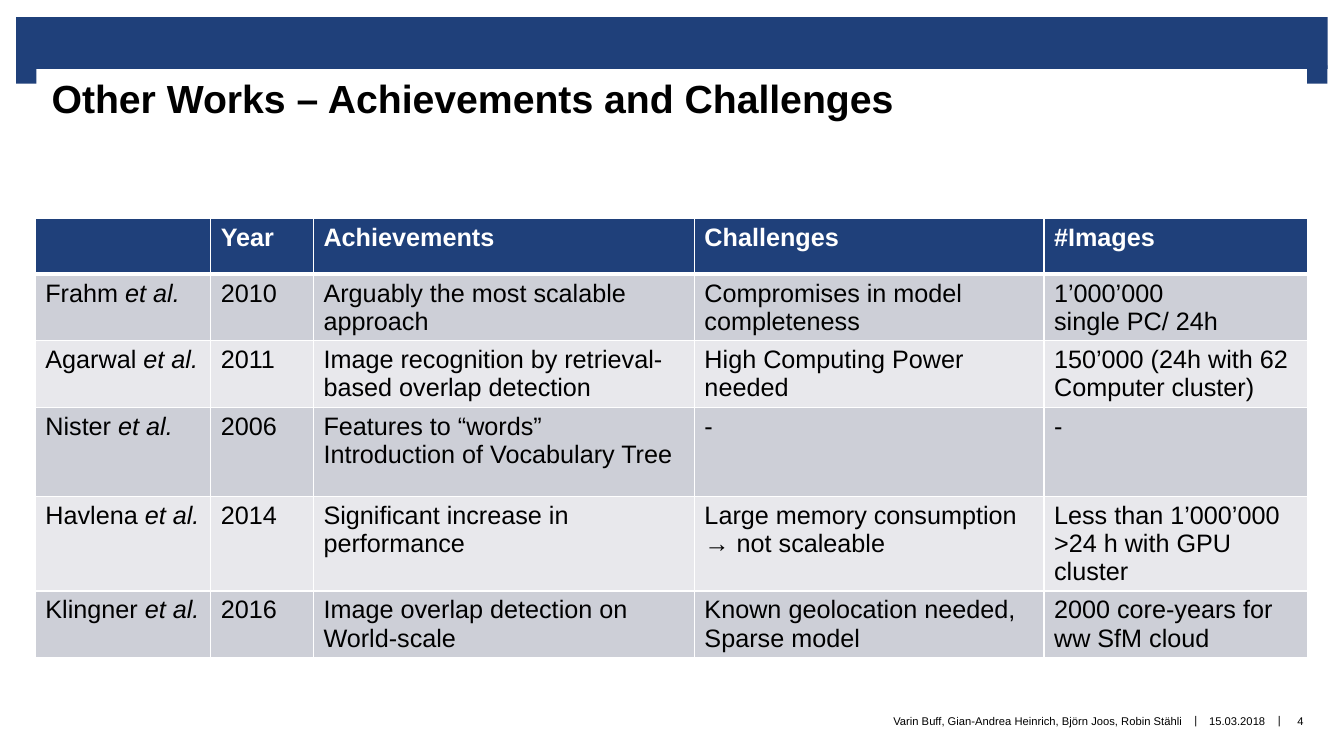
from dataclasses import dataclass

from lxml.etree import SubElement
from pptx import Presentation
from pptx.dml.color import RGBColor
from pptx.enum.shapes import MSO_SHAPE
from pptx.enum.text import MSO_ANCHOR, PP_ALIGN
from pptx.oxml.ns import qn
from pptx.util import Cm, Pt

COLORS = {
    "navy": "1F407A",
    "white": "FFFFFF",
    "black": "000000",
    "band_dark": "CDCFD7",
    "band_light": "E8E8EC",
}
FONT = "Arial"


@dataclass
class Box:
    left: float
    top: float
    width: float
    height: float

    def emu(self) -> tuple:
        return Cm(self.left), Cm(self.top), Cm(self.width), Cm(self.height)


@dataclass
class FooterItem:
    text: str
    box: Box
    align: PP_ALIGN = PP_ALIGN.CENTER


@dataclass
class Work:
    author: str
    year: str
    achievements: str
    challenges: str
    images: str


FRAME_BARS = [
    Box(0.41, 0.43, 33.05, 1.31),
    Box(0.41, 1.65, 0.51, 0.46),
    Box(32.94, 1.65, 0.51, 0.46),
]
FOOTER = [
    FooterItem("Varin Buff, Gian-Andrea Heinrich, Björn Joos, Robin Stähli",
               Box(16.92, 17.53, 12.88, 1.28), PP_ALIGN.RIGHT),
    FooterItem("|", Box(29.95, 17.5, 0.38, 1.3)),
    FooterItem("15.03.2018", Box(30.33, 17.53, 1.7, 1.3)),
    FooterItem("|", Box(32.05, 17.5, 0.38, 1.3)),
    FooterItem("4", Box(32.28, 17.53, 0.99, 1.3)),
]
HEADERS = ["", "Year", "Achievements", "Challenges", "#Images"]
WORKS = [
    Work("Frahm", "2010", "Arguably the most scalable approach",
         "Compromises in model completeness", "1’000’000\nsingle PC/ 24h"),
    Work("Agarwal", "2011", "Image recognition by retrieval-based overlap detection",
         "High Computing Power needed", "150’000 (24h with 62 Computer cluster)"),
    Work("Nister", "2006", "Features to “words”\nIntroduction of Vocabulary Tree",
         "-", "-"),
    Work("Havlena", "2014", "Significant increase in performance",
         "Large memory consumption → not scaleable",
         "Less than 1’000’000\n>24 h with GPU cluster"),
    Work("Klingner", "2016", "Image overlap detection on World-scale",
         "Known geolocation needed,\nSparse model", "2000 core-years for ww SfM cloud"),
]
COL_WIDTHS = [4.42, 2.59, 9.6, 8.81, 6.63]
ROW_HEIGHTS = [1.4, 1.6, 1.6, 2.24, 1.6, 1.6]


def rgb(name: str) -> RGBColor:
    return RGBColor.from_string(COLORS[name])


def add_text(p, text: str, *, size: float = 18, color: str = "black",
             bold: bool = False, italic: bool = False, align=PP_ALIGN.LEFT) -> None:
    p.alignment = align
    r = p.add_run()
    r.text = text
    r.font.name = FONT
    r.font.size = Pt(size)
    r.font.bold = bold
    r.font.italic = italic
    r.font.color.rgb = rgb(color)


def set_insets(tf, left: float, top: float, right: float, bottom: float) -> None:
    tf.margin_left, tf.margin_top = Cm(left), Cm(top)
    tf.margin_right, tf.margin_bottom = Cm(right), Cm(bottom)


def add_bar(s, box: Box) -> None:
    sp = s.shapes.add_shape(MSO_SHAPE.RECTANGLE, *box.emu())
    sp.shadow.inherit = False
    sp.fill.solid()
    sp.fill.fore_color.rgb = rgb("navy")
    sp.line.fill.background()


def add_footer_item(s, item: FooterItem) -> None:
    tf = s.shapes.add_textbox(*item.box.emu()).text_frame
    tf.word_wrap = True
    tf.vertical_anchor = MSO_ANCHOR.MIDDLE
    set_insets(tf, 0, 0, 0, 0)
    add_text(tf.paragraphs[0], item.text, size=8, align=item.align)


def format_title(s, text: str) -> None:
    sp = s.shapes.title
    sp.left, sp.top, sp.width, sp.height = Box(0.89, 1.73, 32.05, 2.69).emu()
    sp.fill.solid()
    sp.fill.fore_color.rgb = rgb("white")
    tf = sp.text_frame
    tf.word_wrap = True
    tf.vertical_anchor = MSO_ANCHOR.TOP
    set_insets(tf, 0.41, 0.15, 0.41, 0)
    add_text(tf.paragraphs[0], text, size=28, bold=True)


def format_cell(cell, fill: str, top: float, bottom: float) -> None:
    cell.fill.solid()
    cell.fill.fore_color.rgb = rgb(fill)
    tcPr = cell._tc.get_or_add_tcPr()
    borders = {"a:lnL": 1, "a:lnR": 1, "a:lnT": top, "a:lnB": bottom}
    for i, (tag, width) in enumerate(borders.items()):
        ln = SubElement(tcPr, qn(tag), w=str(Pt(width)))
        SubElement(SubElement(ln, qn("a:solidFill")), qn("a:srgbClr"), val=COLORS["white"])
        tcPr.insert(i, ln)


def add_works_table(s, works: list[Work]) -> None:
    box = Box(0.89, 5.51, sum(COL_WIDTHS), sum(ROW_HEIGHTS))
    table = s.shapes.add_table(len(works) + 1, len(HEADERS), *box.emu()).table
    for col, width in zip(table.columns, COL_WIDTHS):
        col.width = Cm(width)
    for row, height in zip(table.rows, ROW_HEIGHTS):
        row.height = Cm(height)

    for cell, header in zip(table.rows[0].cells, HEADERS):
        format_cell(cell, "navy", 1, 3)
        if header:
            add_text(cell.text_frame.paragraphs[0], header, color="white", bold=True)

    for i, work in enumerate(works, start=1):
        cells = list(table.rows[i].cells)
        for cell in cells:
            format_cell(cell, "band_dark" if i % 2 else "band_light", 3 if i == 1 else 1, 1)
        p = cells[0].text_frame.paragraphs[0]
        add_text(p, f"{work.author} ")
        add_text(p, "et al.", italic=True)
        values = [work.year, work.achievements, work.challenges, work.images]
        for cell, value in zip(cells[1:], values):
            tf = cell.text_frame
            for n, line in enumerate(value.split("\n")):
                add_text(tf.add_paragraph() if n else tf.paragraphs[0], line)


def main() -> None:
    prs = Presentation()
    prs.slide_width, prs.slide_height = Cm(33.87), Cm(19.05)
    s = prs.slides.add_slide(prs.slide_layouts[5])
    format_title(s, "Other Works – Achievements and Challenges")
    for bar in FRAME_BARS:
        add_bar(s, bar)
    add_works_table(s, WORKS)
    for item in FOOTER:
        add_footer_item(s, item)
    prs.save("out.pptx")


if __name__ == "__main__":
    main()
